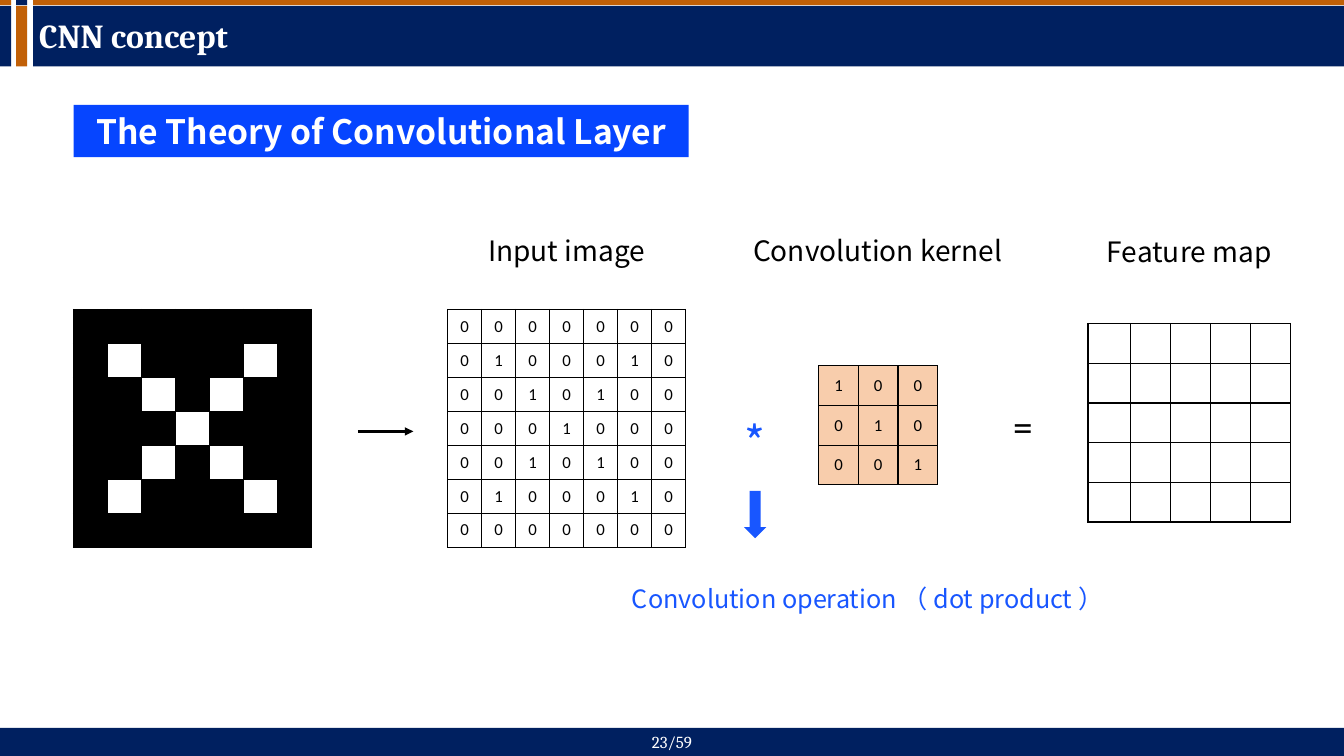
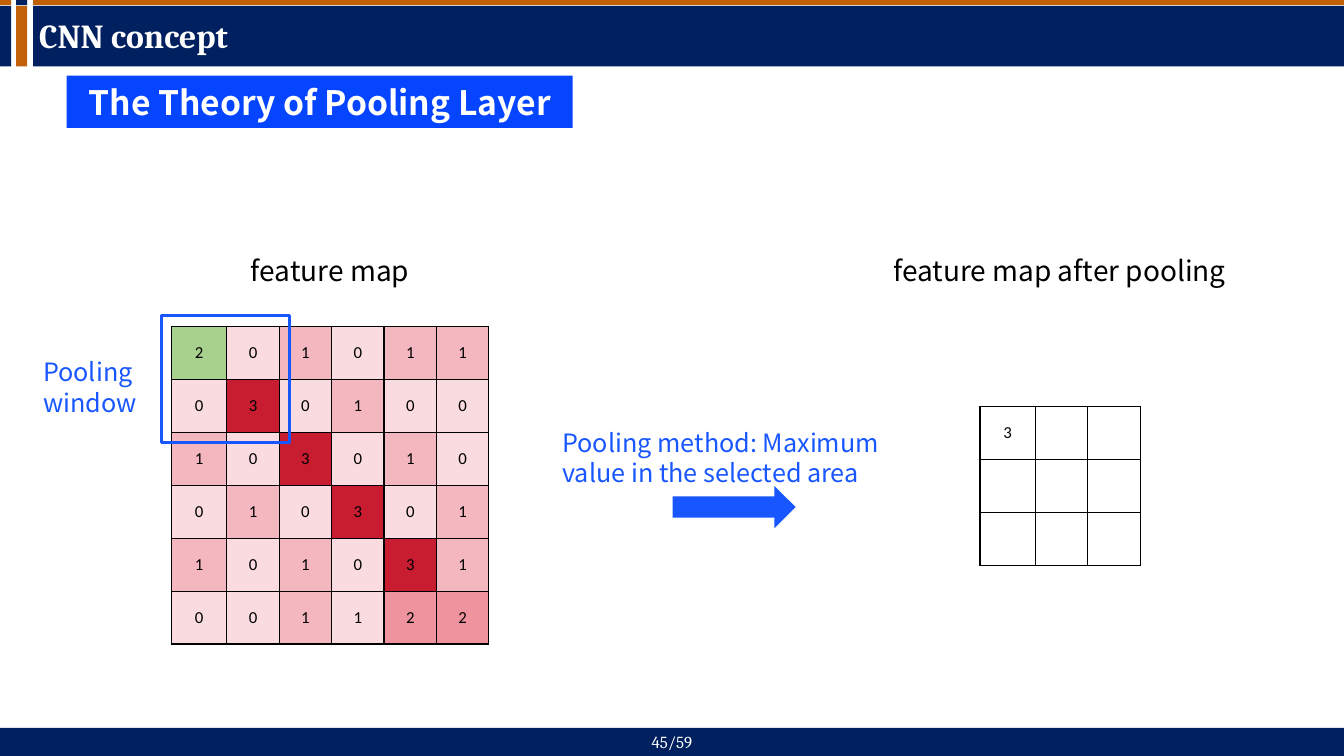
from lxml import etree
from pptx import Presentation
from pptx.dml.color import RGBColor
from pptx.enum.shapes import MSO_CONNECTOR, MSO_SHAPE
from pptx.enum.text import MSO_ANCHOR, PP_ALIGN
from pptx.oxml.ns import qn
from pptx.util import Inches, Pt

RECTANGLE = MSO_SHAPE.RECTANGLE
RIGHT_ARROW = MSO_SHAPE.RIGHT_ARROW
DOWN_ARROW = MSO_SHAPE.DOWN_ARROW
STRAIGHT = MSO_CONNECTOR.STRAIGHT
LEFT, CENTER = PP_ALIGN.LEFT, PP_ALIGN.CENTER
TOP, MIDDLE = MSO_ANCHOR.TOP, MSO_ANCHOR.MIDDLE

SANS, SERIF, DIGITS = "Noto Sans CJK SC", "Cambria", "Calibri"
NAVY, ORANGE, BANNER, ACCENT = "002060", "C16007", "0645FF", "1856FF"
WHITE, BLACK, PEACH, GREEN = "FFFFFF", "000000", "F8CDAC", "A9D18E"
SHADES = {0: "FADBDF", 1: "F5B7BF", 2: "EF949E", 3: "C81D31"}

TITLE = "CNN concept"
PAGE_COUNT = 59
BANDS = [
    (0, 7.22, 13.33, 0.28, NAVY),
    (0.33, 0.06, 13, 0.6, NAVY),
    (0.33, 0, 13, 0.05, ORANGE),
    (0.16, 0.06, 0.11, 0.6, ORANGE),
    (0.16, 0, 0.11, 0.05, NAVY),
    (0, 0.06, 0.11, 0.6, NAVY),
    (0, 0, 0.11, 0.05, ORANGE),
]

INPUT_IMAGE = [
    [0, 0, 0, 0, 0, 0, 0],
    [0, 1, 0, 0, 0, 1, 0],
    [0, 0, 1, 0, 1, 0, 0],
    [0, 0, 0, 1, 0, 0, 0],
    [0, 0, 1, 0, 1, 0, 0],
    [0, 1, 0, 0, 0, 1, 0],
    [0, 0, 0, 0, 0, 0, 0],
]
KERNEL = [[1, 0, 0], [0, 1, 0], [0, 0, 1]]
FEATURE_MAP = [
    [2, 0, 1, 0, 1, 1],
    [0, 3, 0, 1, 0, 0],
    [1, 0, 3, 0, 1, 0],
    [0, 1, 0, 3, 0, 1],
    [1, 0, 1, 0, 3, 1],
    [0, 0, 1, 1, 2, 2],
]
POOLED = [[3, "", ""], ["", "", ""], ["", "", ""]]

CONVOLUTION_HEADINGS = [
    ("Input image", 4.44, 2.27, 2.36),
    ("Convolution kernel", 7.2, 2.27, 3.01),
    ("Feature map", 10.85, 2.28, 1.89),
]
POOLING_HEADINGS = [
    ("feature map", 2.33, 2.47, 1.89),
    ("feature map after pooling", 8.61, 2.47, 3.8),
]
POOLING_NOTES = [
    ("Pooling method: Maximum value in the selected area", 5.48, 4.19, 3.61),
    ("Pooling window", 0.33, 3.49, 1.27),
]


def color(value):
    return RGBColor.from_string(value)


def blank_matrix(size):
    return [[""] * size for _ in range(size)]


def write(frame, text, size, font, ink, align=LEFT, bold=False):
    paragraph = frame.paragraphs[0]
    paragraph.alignment = align
    run = paragraph.add_run()
    run.text = text
    run.font.size = Pt(size)
    run.font.name = font
    run.font.bold = bold
    run.font.color.rgb = color(ink)
    east_asian = etree.Element(qn("a:ea"), typeface=font)
    run.font._element.find(qn("a:latin")).addnext(east_asian)
    return paragraph


def add_label(slide, text, left, top, width, height, size, font=SANS, ink=BLACK,
              align=LEFT, bold=False, anchor=TOP, wrap=True):
    box = slide.shapes.add_textbox(Inches(left), Inches(top), Inches(width), Inches(height))
    box.text_frame.word_wrap = wrap
    box.text_frame.vertical_anchor = anchor
    return write(box.text_frame, text, size, font, ink, align, bold)


def add_block(slide, preset, left, top, width, height, fill=None, outline=None):
    block = slide.shapes.add_shape(preset, Inches(left), Inches(top), Inches(width), Inches(height))
    block.shadow.inherit = False
    if fill:
        block.fill.solid()
        block.fill.fore_color.rgb = color(fill)
    else:
        block.fill.background()
    if outline:
        block.line.color.rgb = color(outline)
        block.line.width = Pt(2.25)
    else:
        block.line.fill.background()
    return block


def add_banner(slide, text, left, top, width):
    frame = add_block(slide, RECTANGLE, left, top, width, 0.52, BANNER).text_frame
    frame.margin_top = frame.margin_bottom = 0
    frame.vertical_anchor = MIDDLE
    write(frame, text, 24, SANS, WHITE, CENTER, True)


def border_cell(cell):
    properties = cell._tc.get_or_add_tcPr()
    for position, side in enumerate(("lnL", "lnR", "lnT", "lnB")):
        line = etree.Element(qn("a:" + side), w=str(Pt(1)))
        fill = etree.SubElement(line, qn("a:solidFill"))
        etree.SubElement(fill, qn("a:srgbClr"), val=BLACK)
        properties.insert(position, line)


def add_matrix(slide, values, left, top, width, height, fill_at, first_column=None):
    count = len(values)
    first = first_column or width / count
    other = (width - first) / (count - 1)
    table = slide.shapes.add_table(count, count, Inches(left), Inches(top),
                                   Inches(width), Inches(height)).table
    table.first_row = table.horz_banding = False
    for index in range(count):
        table.columns[index].width = Inches(other if index else first)
        table.rows[index].height = Inches(height / count)
    for row, numbers in enumerate(values):
        for column, number in enumerate(numbers):
            cell = table.cell(row, column)
            cell.margin_left = cell.margin_right = cell.margin_top = cell.margin_bottom = 0
            cell.vertical_anchor = MIDDLE
            cell.fill.solid()
            cell.fill.fore_color.rgb = color(fill_at(row, column))
            border_cell(cell)
            if number == "":
                paragraph = cell.text_frame.paragraphs[0]
                etree.SubElement(paragraph._p, qn("a:endParaRPr"), sz="1200")
            else:
                write(cell.text_frame, str(number), 12, DIGITS, BLACK, CENTER)


def add_flow_arrow(slide, start, end, y):
    arrow = slide.shapes.add_connector(STRAIGHT, Inches(start), Inches(y), Inches(end), Inches(y))
    arrow.line.color.rgb = color(BLACK)
    arrow.line.width = Pt(2)
    etree.SubElement(arrow.line._get_or_add_ln(), qn("a:tailEnd"), type="triangle")
    etree.SubElement(arrow._element.spPr, qn("a:effectLst"))


def add_headings(slide, headings):
    for text, left, top, width in headings:
        add_label(slide, text, left, top, width, 0.44, 20, align=CENTER)


def new_slide(deck, page):
    slide = deck.slides.add_slide(deck.slide_layouts[6])
    for left, top, width, height, fill in BANDS:
        add_block(slide, RECTANGLE, left, top, width, height, fill)
    add_label(slide, f"{page}/{PAGE_COUNT}", 6.2, 7.21, 0.93, 0.3, 12, SERIF, WHITE, CENTER)
    title = add_label(slide, TITLE, 0.29, 0.07, 2.88, 0.6, 24, SERIF, WHITE, bold=True, anchor=MIDDLE)
    title.line_spacing = 0.9
    return slide


def white_fill(row, column):
    return WHITE


def bitmap_fill(row, column):
    return WHITE if INPUT_IMAGE[row][column] else BLACK


def kernel_fill(row, column):
    return PEACH


def feature_fill(row, column):
    exceptions = {(0, 0): GREEN, (5, 3): SHADES[0]}
    return exceptions.get((row, column), SHADES[FEATURE_MAP[row][column]])


def build_convolution(deck):
    slide = new_slide(deck, 23)
    add_banner(slide, "The Theory of Convolutional Layer", 0.73, 1.04, 6.1)
    add_headings(slide, CONVOLUTION_HEADINGS)
    add_matrix(slide, blank_matrix(7), 0.73, 3.07, 2.36, 2.36, bitmap_fill)
    add_flow_arrow(slide, 3.55, 4.1, 4.28)
    add_matrix(slide, INPUT_IMAGE, 4.44, 3.07, 2.36, 2.36, white_fill)
    add_label(slide, "*", 7.29, 4.07, 0.41, 0.64, 32, ink=ACCENT, wrap=False)
    add_matrix(slide, KERNEL, 8.12, 3.63, 1.18, 1.18, kernel_fill)
    add_label(slide, "=", 9.95, 3.94, 0.4, 0.57, 28, DIGITS, wrap=False)
    add_matrix(slide, blank_matrix(5), 10.79, 3.21, 2.01, 1.97, white_fill, 0.42)
    add_block(slide, DOWN_ARROW, 7.38, 4.87, 0.22, 0.47, ACCENT)
    add_label(slide, "Convolution operation （ dot product ）", 6.17, 5.74, 5.07, 0.4, 18,
              ink=ACCENT, wrap=False)


def build_pooling(deck):
    slide = new_slide(deck, 45)
    add_banner(slide, "The Theory of Pooling Layer", 0.66, 0.75, 5.02)
    add_headings(slide, POOLING_HEADINGS)
    add_matrix(slide, FEATURE_MAP, 1.7, 3.24, 3.15, 3.15, feature_fill, 0.55)
    add_block(slide, RECTANGLE, 1.6, 3.13, 1.27, 1.26, outline=ACCENT)
    add_block(slide, RIGHT_ARROW, 6.67, 4.82, 1.22, 0.42, ACCENT)
    add_matrix(slide, POOLED, 9.72, 4.03, 1.59, 1.58, white_fill, 0.55)
    for text, left, top, width in POOLING_NOTES:
        add_label(slide, text, left, top, width, 0.71, 18, ink=ACCENT)


def main():
    deck = Presentation()
    deck.slide_width = Inches(13.33)
    deck.slide_height = Inches(7.5)
    build_convolution(deck)
    build_pooling(deck)
    deck.save("out.pptx")


if __name__ == "__main__":
    main()
